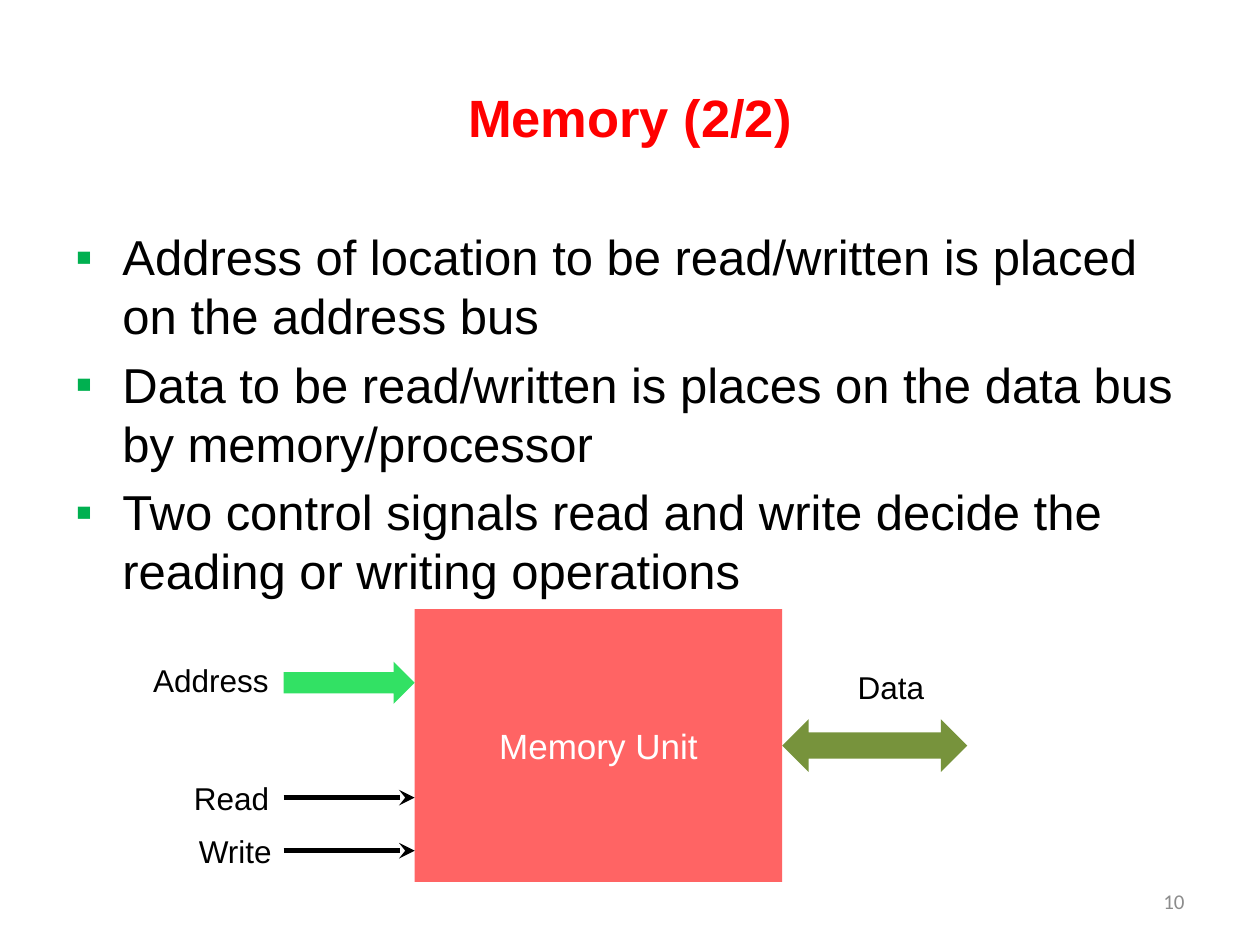
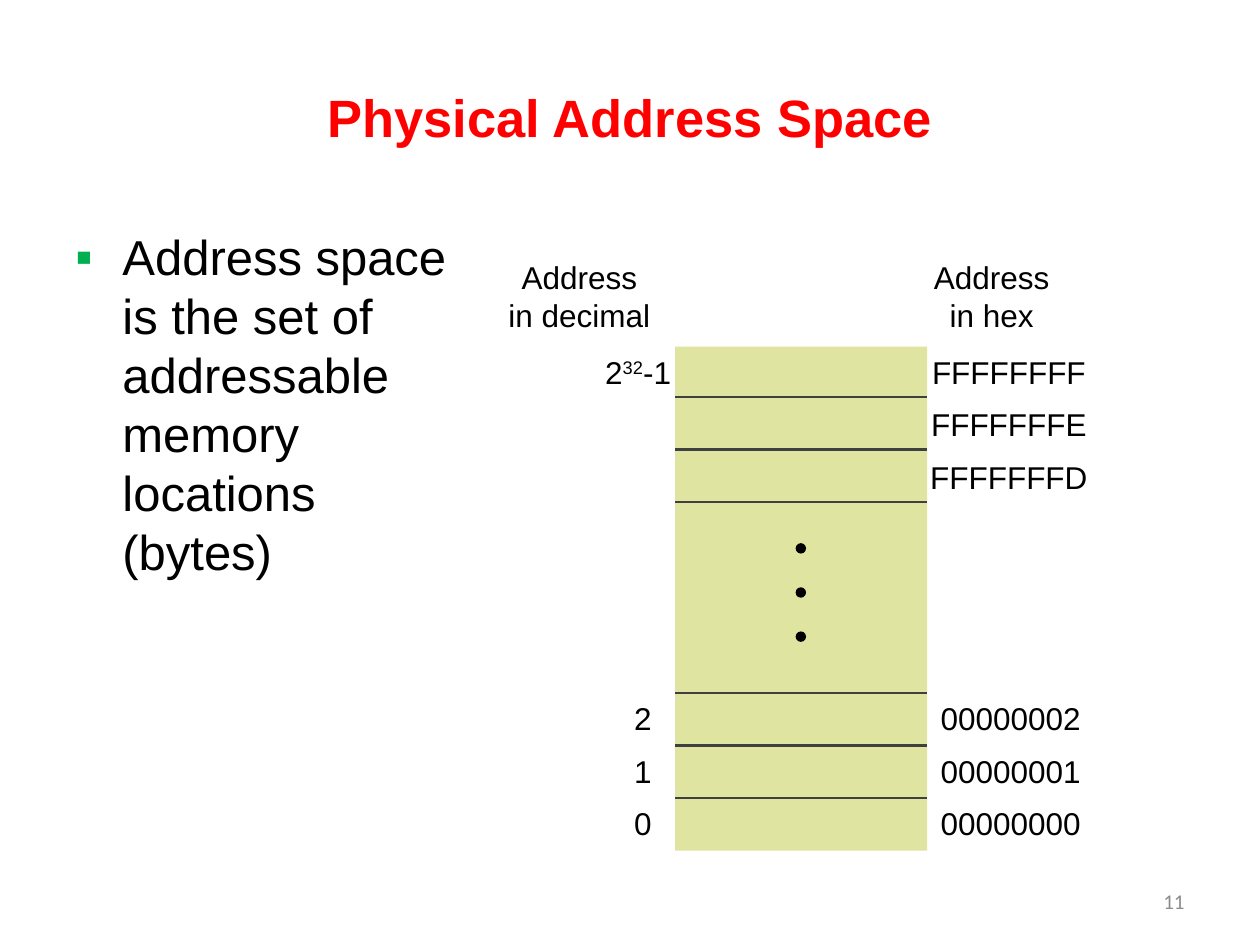
"""Build two slides on memory signals and the physical address space."""
from lxml.etree import SubElement
from pptx import Presentation
from pptx.dml.color import RGBColor
from pptx.enum.shapes import MSO_CONNECTOR, MSO_SHAPE as Shape
from pptx.enum.text import MSO_ANCHOR as Anchor, MSO_AUTO_SIZE as AutoSize, PP_ALIGN as Align
from pptx.oxml.ns import qn
from pptx.util import Cm, Pt

RED = RGBColor(0xFF, 0x00, 0x00)
BLACK = RGBColor(0x00, 0x00, 0x00)
WHITE = RGBColor(0xFF, 0xFF, 0xFF)
GREY = RGBColor(0x8C, 0x8C, 0x8C)
DIVIDER = RGBColor(0x40, 0x40, 0x40)
UNIT_CORAL = RGBColor(0xFF, 0x64, 0x64)
ADDRESS_GREEN = RGBColor(0x32, 0xE1, 0x64)
DATA_OLIVE = RGBColor(0x77, 0x93, 0x3C)
SPACE_LIME = RGBColor(0xDF, 0xE4, 0xA0)
BULLET_HEX = "00B050"

MARGIN = 1.27
CONTENT_WIDTH = 22.86
LABEL_HEIGHT = 1.02


def style(paragraph, size, color=BLACK, align=Align.LEFT, name="Arial", bold=False):
    """Set the font and alignment of a paragraph."""
    paragraph.alignment = align
    font = paragraph.font
    font.name, font.size, font.bold = name, Pt(size), bold
    font.color.rgb = color


def add_frame(slide, left, top, width, height, text, wrap=True, anchor=Anchor.TOP):
    """Add a text box and return its text frame."""
    box = slide.shapes.add_textbox(Cm(left), Cm(top), Cm(width), Cm(height))
    frame = box.text_frame
    frame.word_wrap = wrap
    frame.vertical_anchor = anchor
    frame.text = text
    return frame


def add_base(deck, title, number):
    """Add a blank slide with its title and page number."""
    slide = deck.slides.add_slide(deck.slide_layouts[6])
    heading = add_frame(slide, MARGIN, 0.76, CONTENT_WIDTH, 3.18, title, anchor=Anchor.MIDDLE)
    style(heading.paragraphs[0], 30, RED, Align.CENTER, bold=True)
    page = add_frame(slide, 18.2, 17.65, 5.93, 1.02, str(number), anchor=Anchor.MIDDLE)
    style(page.paragraphs[0], 12, GREY, Align.RIGHT, "Calibri")
    return slide


def add_bullets(slide, width, points):
    """Add the body list with green square bullets."""
    body = add_frame(slide, MARGIN, 4.45, width, 12.57, "\n".join(points))
    for point in body.paragraphs:
        style(point, 28)
        point.space_before = Pt(5.6)
        props = point._p.get_or_add_pPr()
        props.set("marL", str(Cm(0.95)))
        props.set("indent", str(-Cm(0.95)))
        bullet_color = SubElement(props, qn("a:buClr"))
        SubElement(bullet_color, qn("a:srgbClr"), val=BULLET_HEX)
        SubElement(props, qn("a:buFont"), typeface="Arial")
        SubElement(props, qn("a:buChar"), char="▪")
        props.append(props.find(qn("a:defRPr")))


def add_label(slide, text, left, top, width, align=Align.CENTER):
    """Add a diagram label that does not wrap and return its frame."""
    lines = text.count("\n") + 1
    height = LABEL_HEIGHT + 0.78 * (lines - 1)
    frame = add_frame(slide, left, top, width, height, text, wrap=False)
    frame.auto_size = AutoSize.SHAPE_TO_FIT_TEXT
    for line in frame.paragraphs:
        style(line, 18, align=align)
    return frame


def add_block(slide, kind, left, top, width, height, color):
    """Add a preset shape with a flat fill and no outline."""
    block = slide.shapes.add_shape(kind, Cm(left), Cm(top), Cm(width), Cm(height))
    block.shadow.inherit = False
    block.fill.solid()
    block.fill.fore_color.rgb = color
    block.line.fill.background()
    return block


def add_rule(slide, left, right, y, color, weight, arrow=False):
    """Add a horizontal line, with a stealth head on the right if asked."""
    rule = slide.shapes.add_connector(MSO_CONNECTOR.STRAIGHT, Cm(left), Cm(y), Cm(right), Cm(y))
    rule.line.color.rgb = color
    rule.line.width = Pt(weight)
    if arrow:
        SubElement(rule.line._get_or_add_ln(), qn("a:tailEnd"), type="stealth")
    SubElement(rule._element.spPr, qn("a:effectLst"))


def build_memory(deck):
    """Build the slide on the memory unit and its signals."""
    slide = add_base(deck, "Memory (2/2)", 10)
    add_bullets(slide, CONTENT_WIDTH, [
        "Address of location to be read/written is placed on the address bus",
        "Data to be read/written is places on the data bus by memory/processor",
        "Two control signals read and write decide the reading or writing operations",
    ])
    signal_left, unit_left, unit_width = 5.72, 8.36, 7.41
    unit = add_block(slide, Shape.RECTANGLE, unit_left, 12.28, unit_width, 5.5, UNIT_CORAL)
    unit.text_frame.text = "Memory Unit"
    style(unit.text_frame.paragraphs[0], 20, WHITE, Align.CENTER)
    add_block(slide, Shape.RIGHT_ARROW, signal_left, 13.34, unit_left - signal_left, 0.85,
              ADDRESS_GREEN)
    add_block(slide, Shape.LEFT_RIGHT_ARROW, unit_left + unit_width, 14.5, 3.73, 1.06, DATA_OLIVE)
    for y in (16.08, 17.15):
        add_rule(slide, signal_left, unit_left, y, BLACK, 3, arrow=True)
    for text, left, top, width in (
        ("Address", 2.84, 13.21, 2.87),
        ("Read", 3.66, 15.57, 2.06),
        ("Write", 3.76, 16.64, 2.01),
        ("Data", 17.04, 13.34, 1.85),
    ):
        add_label(slide, text, left, top, width, Align.LEFT)


def build_address_space(deck):
    """Build the slide on the address space and its numbering."""
    slide = add_base(deck, "Physical Address Space", 11)
    add_bullets(slide, 8.05, ["Address space is the set of addressable memory locations (bytes)"])
    left, top, width, height, row = 13.61, 6.99, 5.08, 10.16, 1.06
    right, bottom = left + width, top + height
    add_block(slide, Shape.RECTANGLE, left, top, width, height, SPACE_LIME)
    for step in range(3):
        add_rule(slide, left, right, 8 + step * row, DIVIDER, 1.5)
        add_rule(slide, left, right, bottom - (step + 1) * row, DIVIDER, 1.5)
        add_block(slide, Shape.OVAL, 16.04, 10.95 + step * 0.89, 0.21, 0.21, BLACK)

    add_label(slide, "Address\nin decimal", 9.98, 5.08, 3.4)
    add_label(slide, "Address\nin hex", 18.54, 5.08, 2.9)
    power = add_label(slide, "2", 11.91, top, 1.91).paragraphs[0]
    exponent = power.add_run()
    exponent.text = "32"
    exponent._r.get_or_add_rPr().set("baseline", "30000")
    power.add_run().text = "-1"
    for step, ending in enumerate("FED"):
        add_label(slide, "FFFFFFF" + ending, 18.5, top + step * row, 3.68)
    for address in range(3):
        label_top = bottom - (address + 1) * row
        add_label(slide, str(address), 12.53, label_top, 0.86)
        add_label(slide, f"{address:08X}", 18.7, label_top, 3.35)


def main():
    """Build and save the deck."""
    deck = Presentation()
    deck.slide_width, deck.slide_height = Cm(25.4), Cm(19.05)
    build_memory(deck)
    build_address_space(deck)
    deck.save("out.pptx")


if __name__ == "__main__":
    main()
